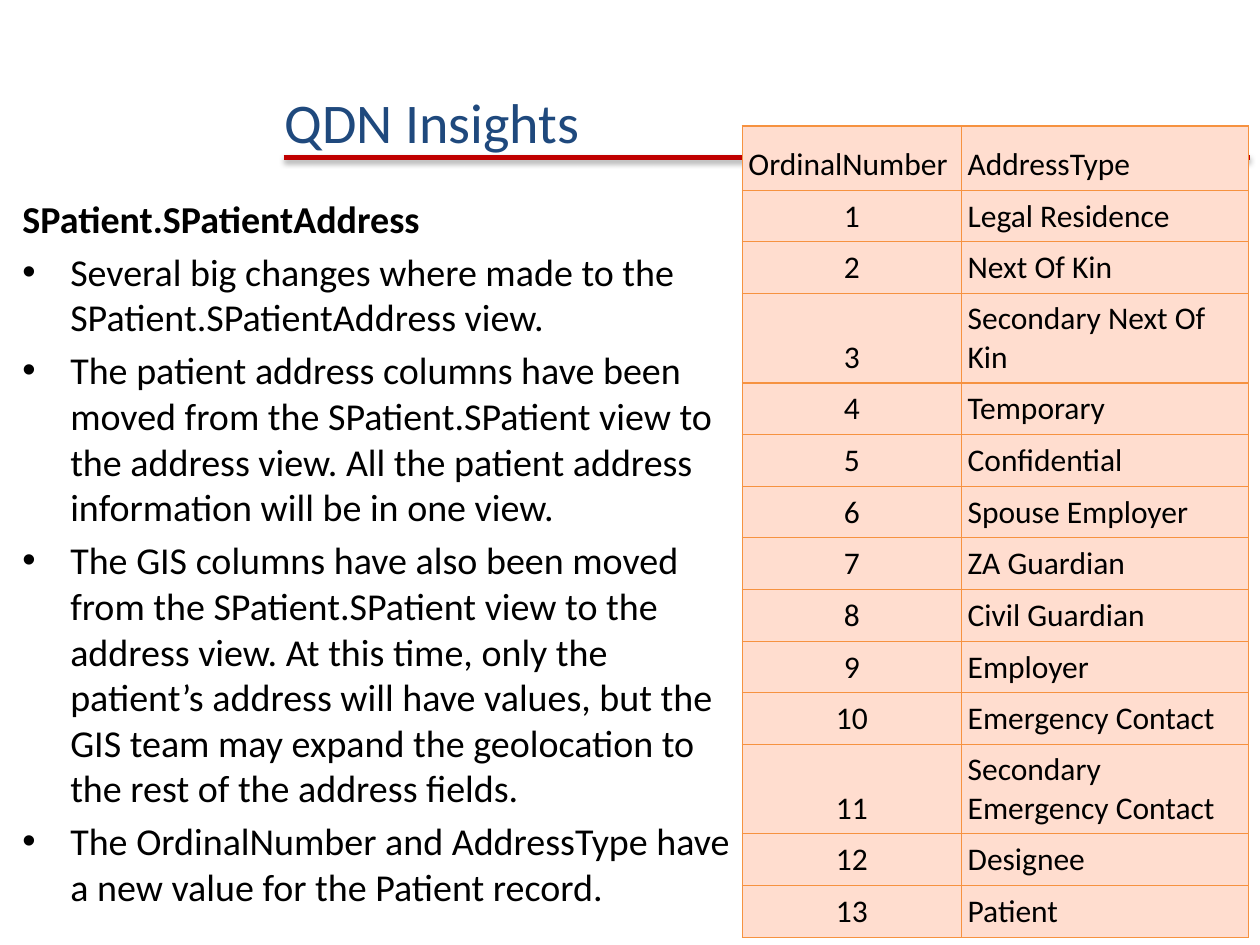
from lxml import etree
from pptx import Presentation
from pptx.dml.color import RGBColor
from pptx.enum import shapes, text
from pptx.oxml import parse_xml
from pptx.oxml.ns import nsdecls, qn
from pptx.util import Inches, Pt

TITLE = "QDN Insights"
LEAD = "SPatient.SPatientAddress"
POINTS = [
    "Several big changes where made to the SPatient.SPatientAddress view.",
    "The patient address columns have been moved from the SPatient.SPatient view to "
    "the address view. All the patient address information will be in one view.",
    "The GIS columns have also been moved from the SPatient.SPatient view to the "
    "address view. At this time, only the patient’s address will have values, but "
    "the GIS team may expand the geolocation to the rest of the address fields.",
    "The OrdinalNumber and AddressType have a new value for the Patient record.",
]
HEADS = ("OrdinalNumber", "AddressType")
TYPES = [
    "Legal Residence", "Next Of Kin", "Secondary Next Of Kin", "Temporary",
    "Confidential", "Spouse Employer", "ZA Guardian", "Civil Guardian", "Employer",
    "Emergency Contact", "Secondary Emergency Contact", "Designee", "Patient",
]
THEME = {
    "font": "Calibri", "title": 32, "body": 21.7, "cell": 18,
    "navy": "1F497D", "ink": "000000", "red": "C00000",
    "fill": "FFDDCF", "edge": "F69240",
}
COLS = (1.74, 2.28)
HEAD, ROW, TALL = 0.51, 0.41, 0.71
WIDE = 20


def style(par, size, color="ink", bold=False):
    for run in par.runs:
        font = run.font
        font.name, font.size, font.bold = THEME["font"], Pt(THEME[size]), bold
        font.color.rgb = RGBColor.from_string(THEME[color])


def add_box(slide, place, anchor):
    frame = slide.shapes.add_textbox(*map(Inches, place)).text_frame
    frame.word_wrap = True
    frame.vertical_anchor = anchor
    return frame


def add_rule(slide):
    ends = map(Inches, (2.25, 1.25, 9.92, 1.25))
    rule = slide.shapes.add_connector(shapes.MSO_CONNECTOR.STRAIGHT, *ends)
    rule.line.color.rgb = RGBColor.from_string(THEME["red"])
    rule.line.width = Pt(3)
    rule._element.spPr.append(parse_xml(
        f'<a:effectLst {nsdecls("a")}><a:outerShdw blurRad="{Pt(3.1)}" '
        f'dist="{Pt(1.8)}" dir="5400000" rotWithShape="0">'
        f'<a:srgbClr val="{THEME["ink"]}"><a:alpha val="35000"/></a:srgbClr>'
        '</a:outerShdw></a:effectLst>'))


def add_body(slide):
    frame = add_box(slide, (0.08, 1.5, 5.83, 5.83), text.MSO_ANCHOR.TOP)
    frame.text = "\n".join([LEAD] + POINTS)
    for i, par in enumerate(frame.paragraphs):
        style(par, "body", bold=i == 0)
        par.space_before = Pt(4.3)
        if i:
            props = par._p.get_or_add_pPr()
            props.set("marL", str(Inches(0.38)))
            props.set("indent", str(Inches(-0.38)))
            etree.SubElement(props, qn("a:buFont")).set("typeface", "Arial")
            etree.SubElement(props, qn("a:buChar")).set("char", "•")


def set_edge(cell):
    props = cell._tc.get_or_add_tcPr()
    for i, side in enumerate(("lnL", "lnR", "lnT", "lnB")):
        props.insert(i, parse_xml(
            f'<a:{side} {nsdecls("a")} w="{Pt(0.75)}"><a:solidFill>'
            f'<a:srgbClr val="{THEME["edge"]}"/></a:solidFill></a:{side}>'))


def add_grid(slide):
    rows = [HEADS] + [(str(n), kind) for n, kind in enumerate(TYPES, 1)]
    highs = [HEAD] + [TALL if len(kind) > WIDE else ROW for kind in TYPES]
    place = map(Inches, (5.89, 1, sum(COLS), sum(highs)))
    grid = slide.shapes.add_table(len(rows), len(COLS), *place).table
    grid.first_row = grid.horz_banding = False
    for col, wide in zip(grid.columns, COLS):
        col.width = Inches(wide)
    for r, (row, high) in enumerate(zip(rows, highs)):
        grid.rows[r].height = Inches(high)
        for c, word in enumerate(row):
            cell = grid.cell(r, c)
            cell.text = word
            cell.vertical_anchor = text.MSO_ANCHOR.BOTTOM
            cell.margin_left = cell.margin_right = Inches(0.05)
            cell.margin_top = cell.margin_bottom = Inches(0.05)
            cell.fill.solid()
            cell.fill.fore_color.rgb = RGBColor.from_string(THEME["fill"])
            set_edge(cell)
            par = cell.text_frame.paragraphs[0]
            style(par, "cell")
            if r and c == 0:
                par.alignment = text.PP_ALIGN.CENTER


def main():
    deck = Presentation()
    deck.slide_width, deck.slide_height = Inches(10), Inches(7.5)
    slide = deck.slides.add_slide(deck.slide_layouts[6])
    add_rule(slide)
    title = add_box(slide, (2.16, 0.67, 7.83, 0.58), text.MSO_ANCHOR.MIDDLE)
    title.text = TITLE
    style(title.paragraphs[0], "title", "navy")
    add_body(slide)
    add_grid(slide)
    deck.save("out.pptx")


if __name__ == "__main__":
    main()
